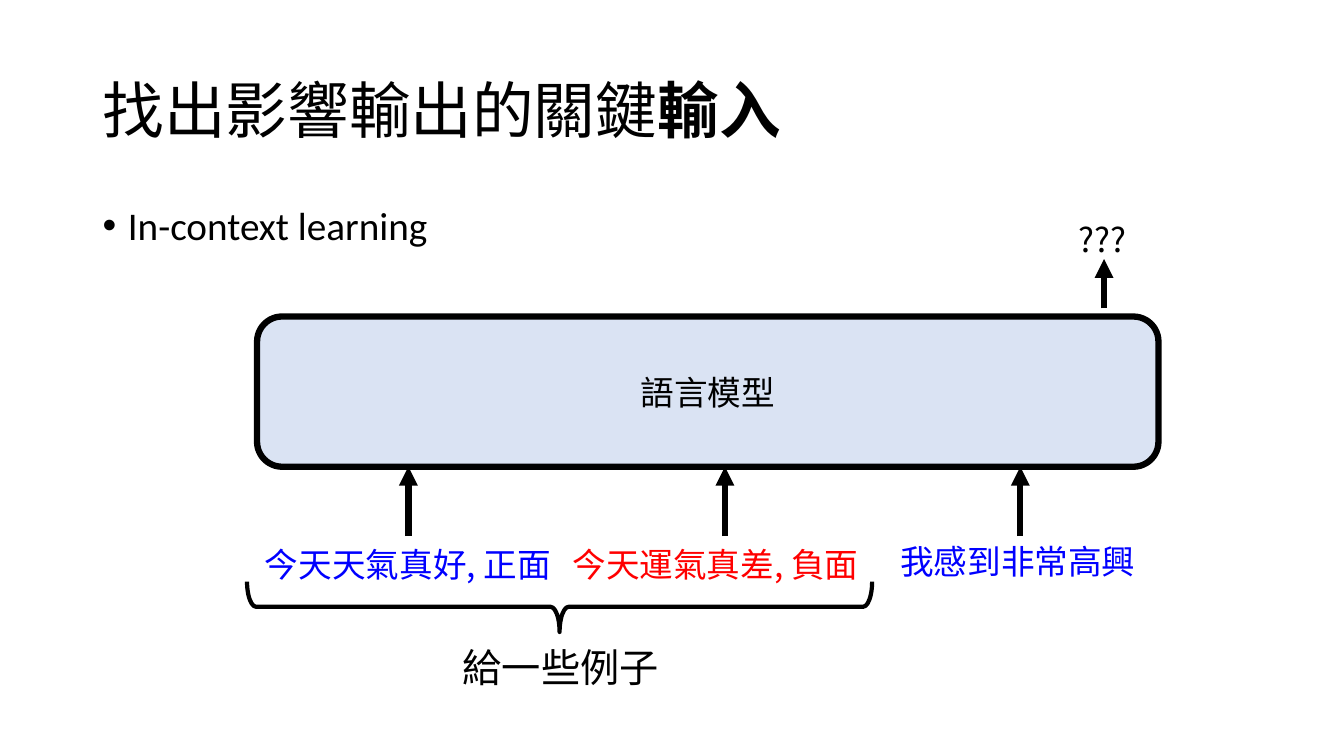
from dataclasses import dataclass

from pptx import Presentation
from pptx.dml.color import RGBColor
from pptx.enum.shapes import MSO_CONNECTOR, MSO_SHAPE
from pptx.enum.text import MSO_ANCHOR, PP_ALIGN
from pptx.oxml.ns import qn
from pptx.util import Inches, Pt
from lxml.etree import SubElement

CELL = 0.1  # inches per grid column and row


@dataclass(frozen=True)
class Theme:
    chinese: str = "Noto Sans CJK SC"
    latin: str = "Calibri"
    black: str = "000000"
    blue: str = "0000FF"
    red: str = "FF0000"
    panel: str = "DAE3F3"
    title: int = 44
    body: int = 28
    label: int = 24
    heavy: float = 4.5
    medium: float = 3


@dataclass(frozen=True)
class Box:
    left: float
    top: float
    width: float
    height: float

    def area(self, column, row, width, height):
        return Box(self.left + column, self.top + row, width, height)

    def lengths(self):
        return [cells(n) for n in (self.left, self.top, self.width, self.height)]


THEME = Theme()


def cells(count):
    return Inches(count * CELL)


def color(code):
    return RGBColor.from_string(code)


def style_run(run, size, code=THEME.black, font=THEME.chinese, bold=False):
    run.font.size = Pt(size)
    run.font.name = font
    run.font.bold = bold
    run.font.color.rgb = color(code)
    SubElement(run.font._element, qn("a:ea")).set("typeface", THEME.chinese)


def add_text(slide, box, text, size, code=THEME.black, align=PP_ALIGN.LEFT,
             anchor=MSO_ANCHOR.TOP, font=THEME.chinese):
    text_frame = slide.shapes.add_textbox(*box.lengths()).text_frame
    text_frame.word_wrap = True
    text_frame.vertical_anchor = anchor
    paragraph = text_frame.paragraphs[0]
    paragraph.text = text
    paragraph.alignment = align
    style_run(paragraph.runs[0], size, code, font)
    return paragraph


def add_shape(slide, kind, box, width, fill=None):
    shape = slide.shapes.add_shape(kind, *box.lengths())
    shape.shadow.inherit = False
    if fill:
        shape.fill.solid()
        shape.fill.fore_color.rgb = color(fill)
    else:
        shape.fill.background()
    shape.line.color.rgb = color(THEME.black)
    shape.line.width = Pt(width)
    return shape


def add_up_arrow(slide, column, start, end):
    arrow = slide.shapes.add_connector(
        MSO_CONNECTOR.STRAIGHT, cells(column), cells(start), cells(column), cells(end))
    arrow.line.color.rgb = color(THEME.black)
    arrow.line.width = Pt(THEME.heavy)
    properties = arrow._element.spPr
    SubElement(properties.find(qn("a:ln")), qn("a:tailEnd")).set("type", "triangle")
    SubElement(properties, qn("a:effectLst"))


def draw_heading(slide, box):
    # Title with its last word in bold
    title = add_text(slide, box.area(0, 0, box.width, 14.5), "找出影響輸出的關鍵",
                     THEME.title, anchor=MSO_ANCHOR.MIDDLE)
    title.line_spacing = 0.9
    keyword = title.add_run()
    keyword.text = "輸入"
    style_run(keyword, THEME.title, bold=True)

    # Bulleted topic
    topic = add_text(slide, box.area(0, 16, box.width, 6), "In-context learning",
                     THEME.body, font=THEME.latin)
    topic.line_spacing = 0.9
    properties = topic._element.get_or_add_pPr()
    properties.set("marL", str(Inches(0.25)))
    properties.set("indent", str(-Inches(0.25)))
    SubElement(properties, qn("a:buFont")).set("typeface", "Arial")
    SubElement(properties, qn("a:buChar")).set("char", "•")


def draw_model(slide, box):
    # Language model
    model = add_shape(slide, MSO_SHAPE.ROUNDED_RECTANGLE, box, THEME.heavy, THEME.panel)
    model.text_frame.text = "語言模型"
    model.text_frame.vertical_anchor = MSO_ANCHOR.MIDDLE
    paragraph = model.text_frame.paragraphs[0]
    paragraph.alignment = PP_ALIGN.CENTER
    style_run(paragraph.runs[0], THEME.label)

    # Unknown output
    add_up_arrow(slide, box.left + 84, box.top - 0.8, box.top - 5.7)
    add_text(slide, box.area(78.5, -10.2, 10.7, 5), "???", THEME.label,
             align=PP_ALIGN.CENTER)


def draw_inputs(slide, box):
    # Sentences: text, colour, column, row, width, arrow column
    sentences = [
        ("今天天氣真好, 正面", THEME.blue, -0.2, 7.2, 39.4, 15),
        ("今天運氣真差, 負面", THEME.red, 30.3, 7.2, 38.1, 46.4),
        ("我感到非常高興", THEME.blue, 62.8, 6.9, 27.2, 75.7),
    ]
    for text, code, column, row, width, arrow_column in sentences:
        add_text(slide, box.area(column, row, width, 5), text, THEME.label, code)
        add_up_arrow(slide, box.left + arrow_column, box.top + 6.9, box.top)

    # Brace turned to span the two examples
    span, depth = 62, 5
    middle_column, middle_row = 30, 13.9
    brace = add_shape(slide, MSO_SHAPE.RIGHT_BRACE,
                      box.area(middle_column - depth / 2, middle_row - span / 2, depth, span),
                      THEME.medium)
    brace.rotation = 90
    brace.adjustments[0] = 0.18
    add_text(slide, box.area(middle_column - 15, 17, 30.2, 5.7), "給一些例子",
             THEME.body, align=PP_ALIGN.CENTER)


def main():
    presentation = Presentation()
    presentation.slide_width = Inches(13.33)
    presentation.slide_height = Inches(7.5)
    slide = presentation.slides.add_slide(presentation.slide_layouts[6])
    draw_heading(slide, Box(9.2, 4, 115, 22))
    draw_model(slide, Box(25.5, 31.4, 89.4, 14.9))
    draw_inputs(slide, Box(25.5, 46.3, 89.4, 22.7))
    presentation.save("out.pptx")


if __name__ == "__main__":
    main()
